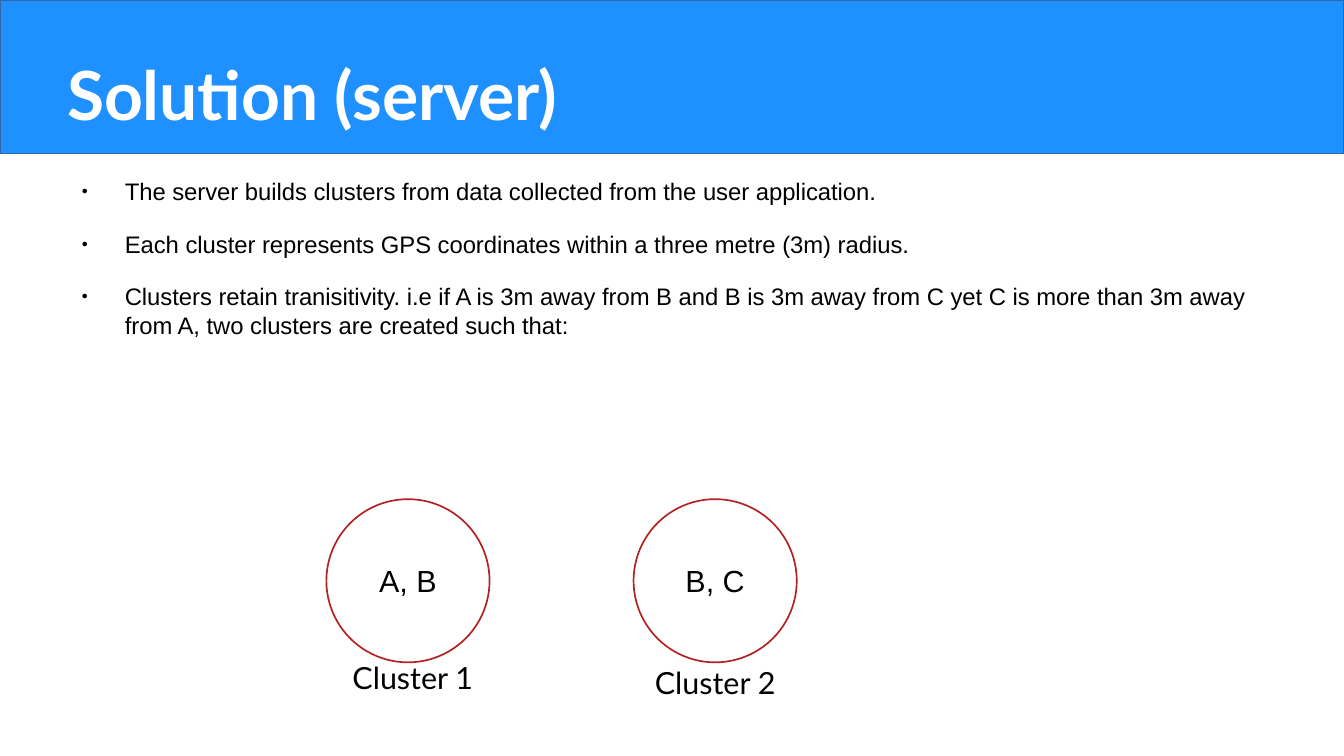
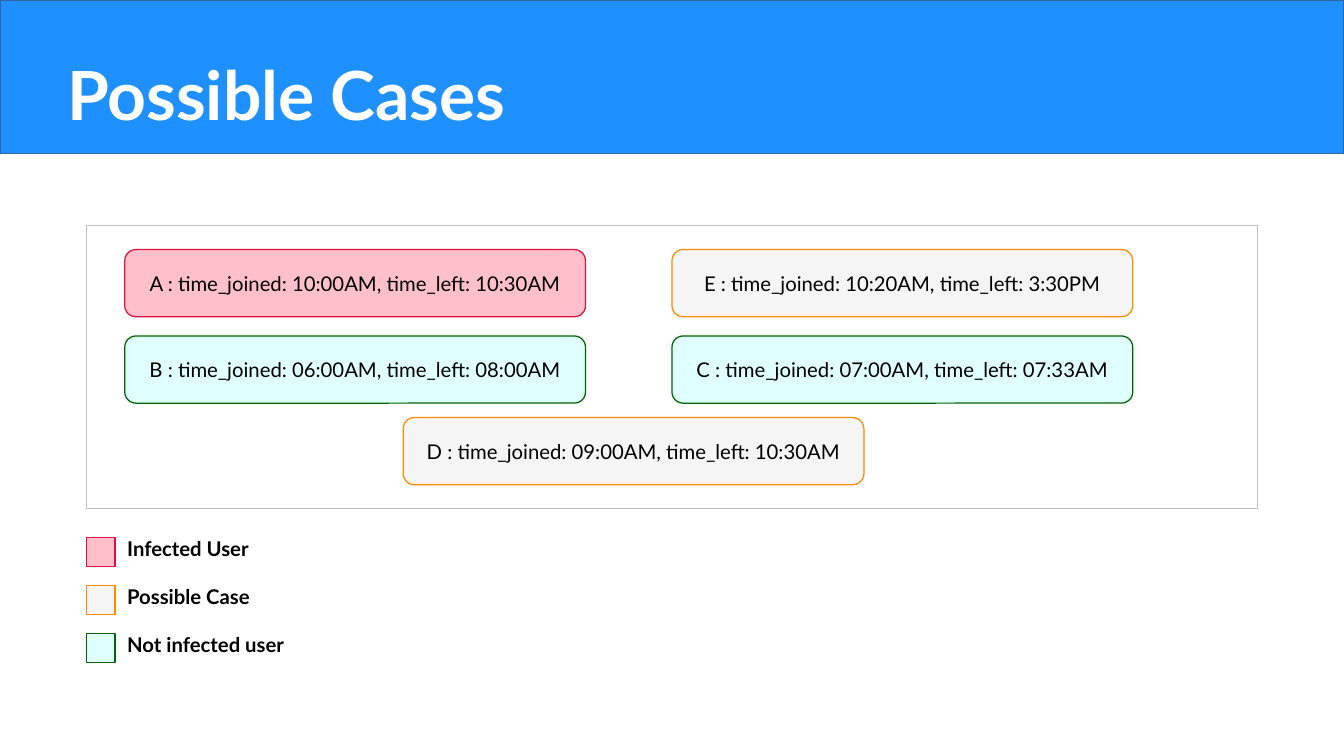
"""Build two slides on contact clusters and possible infection cases."""
from lxml import etree
from pptx import Presentation
from pptx.dml.color import RGBColor
from pptx.enum.shapes import MSO_SHAPE
from pptx.enum.text import MSO_ANCHOR, MSO_AUTO_SIZE, PP_ALIGN
from pptx.oxml.ns import qn
from pptx.util import Cm, Pt

RECTANGLE, ROUNDED, OVAL = MSO_SHAPE.RECTANGLE, MSO_SHAPE.ROUNDED_RECTANGLE, MSO_SHAPE.OVAL
LEFT, CENTER = PP_ALIGN.LEFT, PP_ALIGN.CENTER
TOP, MIDDLE = MSO_ANCHOR.TOP, MSO_ANCHOR.MIDDLE
NO_FIT = MSO_AUTO_SIZE.NONE

COLORS = {
    "band": "1E90FF", "band_line": "3465A4",
    "white": "FFFFFF", "black": "000000",
    "circle_line": "B22222", "panel_line": "C0C0C0",
    "infected": "FFC0CB", "infected_line": "DC143C",
    "possible": "F5F5F5", "possible_line": "FF8C00",
    "healthy": "E0FFFF", "healthy_line": "006400",
}


def write(box, *texts, size=12, font="Lato", color="black", bold=False,
          align=LEFT, anchor=TOP, wrap=True, margin=None, before=0):
    frame = box.text_frame
    frame.auto_size = NO_FIT
    frame.word_wrap = wrap
    frame.vertical_anchor = anchor
    if margin is not None:
        frame.margin_left = frame.margin_right = Cm(margin)
        frame.margin_top = frame.margin_bottom = Cm(margin)
    for index, text in enumerate(texts):
        para = frame.add_paragraph() if index else frame.paragraphs[0]
        para.alignment = align
        para.space_before = Pt(before)
        span = para.add_run()
        span.text = text
        span.font.name = font
        span.font.size = Pt(size)
        span.font.bold = bold
        span.font.color.rgb = RGBColor.from_string(COLORS[color])


def draw(page, kind, left, top, width, height, fill, line, weight=0.75):
    shape = page.shapes.add_shape(kind, Cm(left), Cm(top), Cm(width), Cm(height))
    shape.shadow.inherit = False
    shape.fill.solid()
    shape.fill.fore_color.rgb = RGBColor.from_string(COLORS[fill])
    shape.line.color.rgb = RGBColor.from_string(COLORS[line])
    shape.line.width = Pt(weight)
    return shape


deck = Presentation()
deck.slide_width, deck.slide_height = Cm(28), Cm(15.75)
master = deck.slide_master
server_page = deck.slides.add_slide(deck.slide_layouts[1])
cases_page = deck.slides.add_slide(deck.slide_layouts[5])

band = draw(server_page, RECTANGLE, 0, 0, 28, 3.2, "band", "band_line")
band.element.nvSpPr.cNvPr.id = 20
master.shapes.element.insert(2, band.element)
master_title = master.placeholders[0]
master_title.left, master_title.top = Cm(1.4), Cm(0.63)
master_title.width, master_title.height = Cm(25.2), Cm(2.62)

for page, heading in ((server_page, "Solution (server)"), (cases_page, "Possible Cases")):
    write(page.shapes.title, heading, size=40, color="white", bold=True,
          anchor=MIDDLE, margin=0)

body = server_page.placeholders[1]
body.left, body.top, body.width, body.height = Cm(1.4), Cm(3.68), Cm(25.2), Cm(6.5)
write(body,
      "The server builds clusters from data collected from the user application.",
      "Each cluster represents GPS coordinates within a three metre (3m) radius.",
      "Clusters retain tranisitivity. i.e if A is 3m away from B and B is 3m away from C "
      "yet C is more than 3m away from A, two clusters are created such that:",
      size=14.1, font="Arial", margin=0, before=14.2)
for para in body.text_frame.paragraphs:
    properties = para._p.get_or_add_pPr()
    properties.set("marL", str(Cm(1.2)))
    properties.set("indent", str(Cm(-0.9)))
    bullet_color = etree.SubElement(properties, qn("a:buClr"))
    etree.SubElement(bullet_color, qn("a:srgbClr"), val=COLORS["black"])
    etree.SubElement(properties, qn("a:buSzPct"), val="45000")
    etree.SubElement(properties, qn("a:buChar"), char="●")

clusters = (
    ("A, B", 6.8, "Cluster 1", 6.5, 13.6),
    ("B, C", 13.2, "Cluster 2", 12.8, 13.7),
)
for members, circle_left, name, name_left, name_top in clusters:
    circle = draw(server_page, OVAL, circle_left, 10.4, 3.4, 3.4, "white", "circle_line", 1)
    write(circle, members, size=18, font="Arial", align=CENTER, anchor=MIDDLE, wrap=False)
    label = server_page.shapes.add_textbox(Cm(name_left), Cm(name_top), Cm(4.2), Cm(1.31))
    write(label, name, size=18, align=CENTER)

draw(cases_page, RECTANGLE, 1.8, 4.7, 24.4, 5.9, "white", "panel_line")
visits = (
    ("A : time_joined: 10:00AM, time_left: 10:30AM", 2.6, 5.2, "infected"),
    ("B : time_joined: 06:00AM, time_left: 08:00AM", 2.6, 7, "healthy"),
    ("E : time_joined: 10:20AM, time_left: 3:30PM", 14, 5.2, "possible"),
    ("D : time_joined: 09:00AM, time_left: 10:30AM", 8.4, 8.7, "possible"),
    ("C : time_joined: 07:00AM, time_left: 07:33AM", 14, 7, "healthy"),
)
for text, left, top, status in visits:
    visit = draw(cases_page, ROUNDED, left, top, 9.6, 1.4, status, f"{status}_line")
    write(visit, text, align=CENTER, anchor=MIDDLE, wrap=False)

legend = (("Infected User", "infected"), ("Possible Case", "possible"),
          ("Not infected user", "healthy"))
for row, (text, status) in enumerate(legend):
    top = 11.2 + row
    draw(cases_page, RECTANGLE, 1.8, top, 0.6, 0.6, status, f"{status}_line")
    label = cases_page.shapes.add_textbox(Cm(2.4), Cm(top - 0.15), Cm(4.2), Cm(0.96))
    write(label, text, bold=True)

deck.save("out.pptx")
